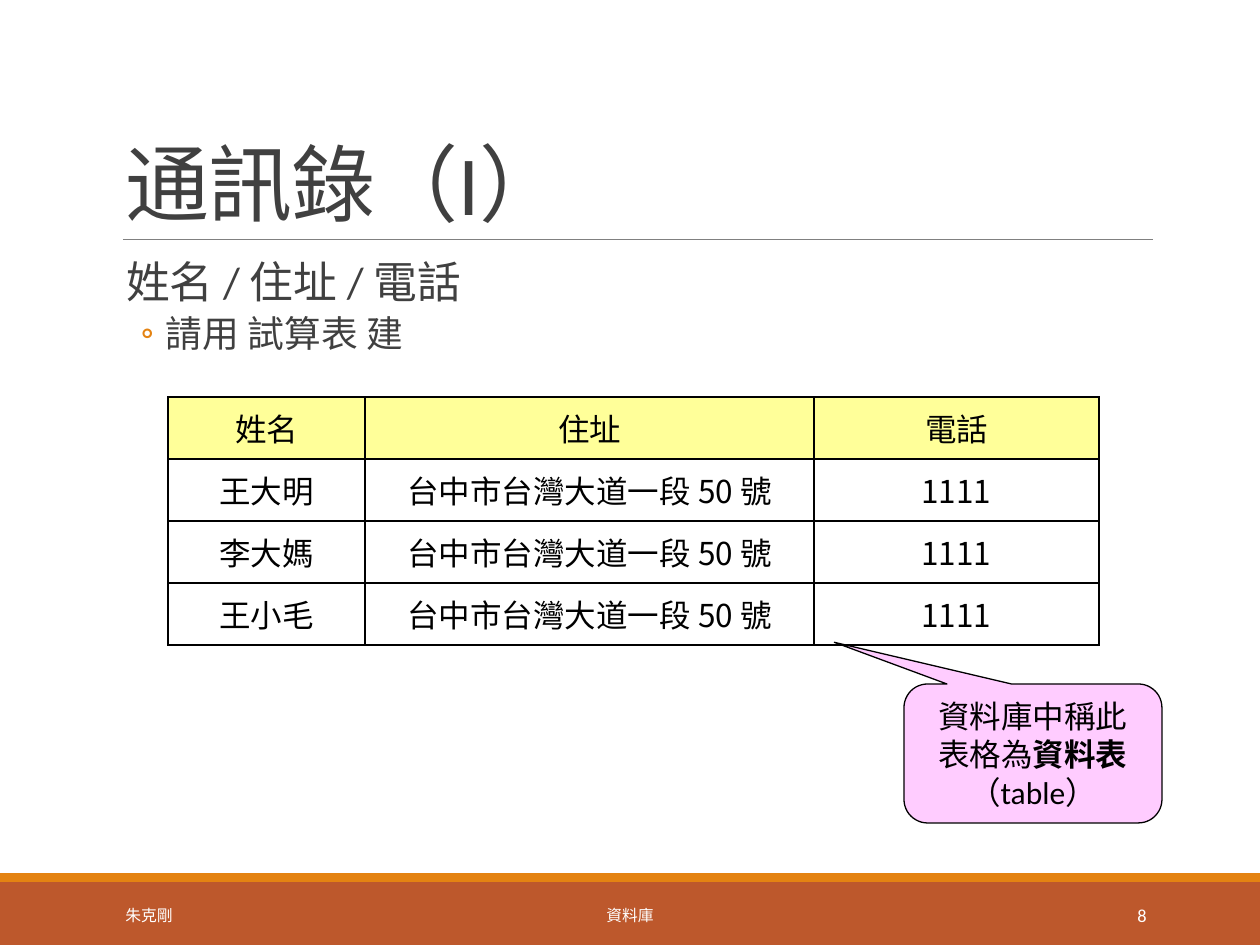
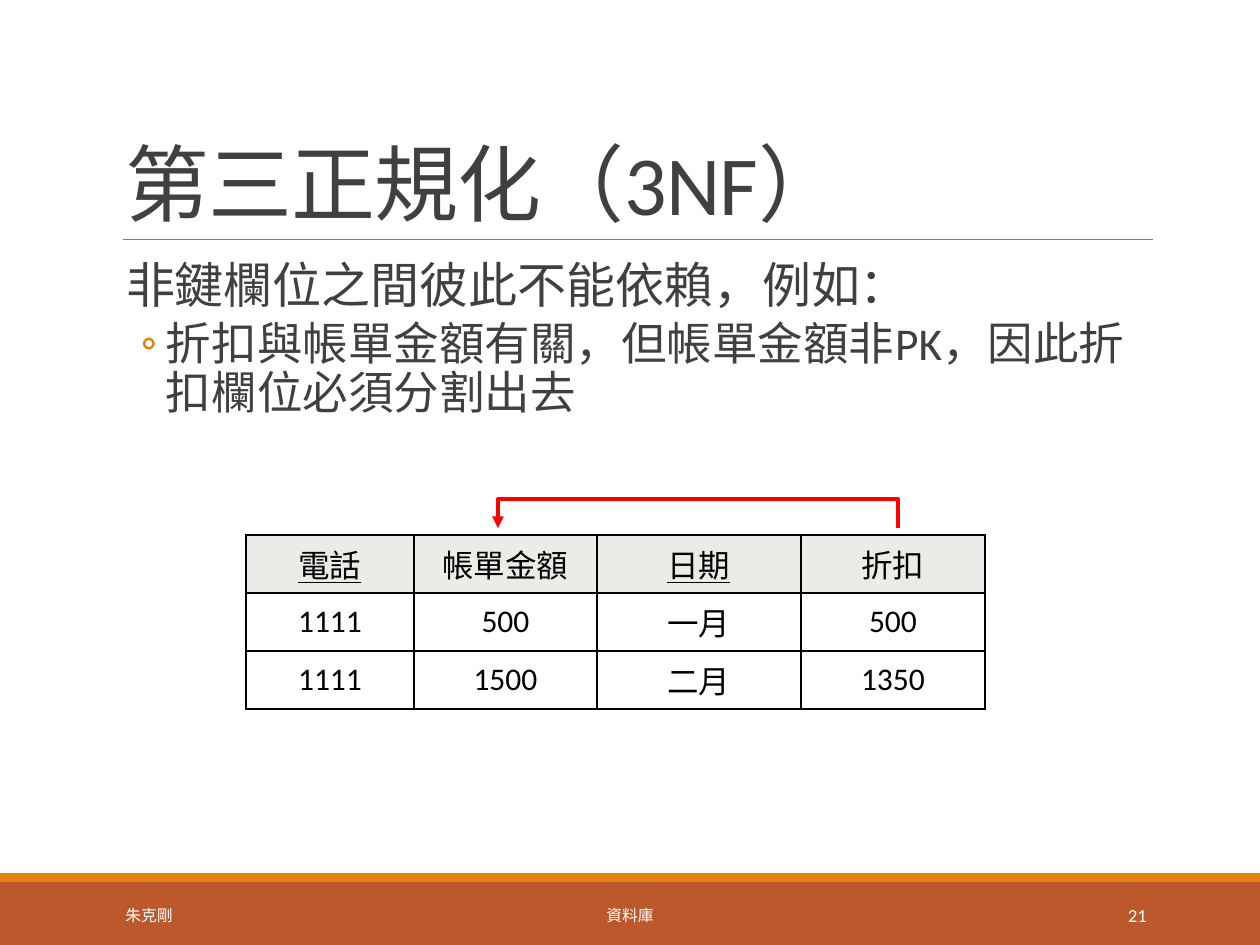
from lxml.etree import SubElement
from pptx import Presentation
from pptx.dml.color import RGBColor
from pptx.enum.shapes import MSO_CONNECTOR, MSO_SHAPE
from pptx.enum.text import MSO_ANCHOR as ANCHOR, PP_ALIGN as ALIGN
from pptx.oxml.ns import qn
from pptx.util import Pt

SCALE = 914400 / 126
LATIN, ASIAN = "Calibri", "Noto Sans CJK TC"
INK, BLACK, WHITE = "404040", "000000", "FFFFFF"
ORANGE, RUST, GREY, RED, PINK = "E48312", "BD582C", "808080", "FF0000", "FFCCFF"

AUTHOR, COURSE = "朱克剛", "資料庫"
ADDRESS = "台中市台灣大道一段 50 號"
SLIDES = [
    {
        "title": "通訊錄（I）", "number": "8",
        "lead": ("姓名 / 住址 / 電話", 25), "detail": ("請用 試算表 建", 21),
        "table": {
            "corner": (168, 397), "columns": (197, 449, 285), "row": 62,
            "header": "FFFF99", "font": ASIAN, "keys": (),
            "rows": [
                ("姓名", "住址", "電話"),
                ("王大明", ADDRESS, "1111"),
                ("李大媽", ADDRESS, "1111"),
                ("王小毛", ADDRESS, "1111"),
            ],
        },
        "callout": [("資料庫中稱此表格為", False), ("資料表", True), ("（table）", False)],
    },
    {
        "title": "第三正規化（3NF）", "number": "21",
        "lead": ("非鍵欄位之間彼此不能依賴，例如：", 28),
        "detail": ("折扣與帳單金額有關，但帳單金額非PK，因此折扣欄位必須分割出去", 26),
        "table": {
            "corner": (246, 535), "columns": (168, 183, 204, 184), "row": 58,
            "header": "EAECE7", "font": LATIN, "keys": ("電話", "日期"),
            "rows": [
                ("電話", "帳單金額", "日期", "折扣"),
                ("1111", "500", "一月", "500"),
                ("1111", "1500", "二月", "1350"),
            ],
        },
        "dependency": [(898, 528), (898, 499), (498, 499), (498, 528)],
    },
]


def px(value):
    return round(value * SCALE)


def color(value):
    return RGBColor.from_string(value)


def add_run(paragraph, text, size, ink, font=LATIN, bold=False, underline=False):
    run = paragraph.add_run()
    run.text = text
    run.font.size, run.font.name = Pt(size), font
    run.font.bold, run.font.underline = bold, underline
    run.font.color.rgb = color(ink)
    SubElement(run.font._element, qn("a:ea"), typeface=ASIAN)
    return run


def add_text_box(slide, box, anchor=ANCHOR.TOP):
    frame = slide.shapes.add_textbox(*map(px, box)).text_frame
    frame.word_wrap = True
    frame.vertical_anchor = anchor
    return frame


def add_panel(slide, kind, box, fill):
    shape = slide.shapes.add_shape(kind, *map(px, box))
    shape.shadow.inherit = False
    shape.fill.solid()
    shape.fill.fore_color.rgb = color(fill)
    shape.line.fill.background()
    return shape


def set_line(line, ink, width):
    line.color.rgb = color(ink)
    line.width = Pt(width)


def add_frame(slide, number):
    add_panel(slide, MSO_SHAPE.RECTANGLE, (0, 882, 1260, 63), RUST)
    add_panel(slide, MSO_SHAPE.RECTANGLE, (0, 873, 1260, 9), ORANGE)
    rule = slide.shapes.add_connector(
        MSO_CONNECTOR.STRAIGHT, px(123), px(239), px(1153), px(239))
    set_line(rule.line, GREY, 0.5)
    SubElement(rule._element.spPr, qn("a:effectLst"))
    footers = [
        (AUTHOR, 113, 256, ALIGN.LEFT, 9),
        (COURSE, 380, 500, ALIGN.CENTER, 9),
        (number, 1023, 136, ALIGN.RIGHT, 10.5),
    ]
    for text, left, width, align, size in footers:
        paragraph = add_text_box(slide, (left, 890, width, 50), ANCHOR.MIDDLE).paragraphs[0]
        paragraph.alignment = align
        add_run(paragraph, text, size, WHITE)


def add_title(slide, text):
    paragraph = add_text_box(slide, (113, 39, 1040, 200), ANCHOR.BOTTOM).paragraphs[0]
    paragraph.line_spacing = 0.85
    run = add_run(paragraph, text, 48, INK)
    run.font._element.set("spc", "-50")


def add_body(slide, lead, detail):
    frame = add_text_box(slide, (113, 255, 1040, 554))
    frame.margin_left = frame.margin_right = 0
    levels = [(lead, 13, 12, 2, None), (detail, 53, 2, 4, "◦")]
    for index, ((text, size), margin, before, after, bullet) in enumerate(levels):
        paragraph = frame.add_paragraph() if index else frame.paragraphs[0]
        paragraph.line_spacing = 0.9
        paragraph.space_before, paragraph.space_after = Pt(before), Pt(after)
        properties = paragraph._p.get_or_add_pPr()
        properties.set("marL", str(px(margin)))
        if bullet:
            properties.set("indent", str(px(-25)))
            ink = SubElement(properties, qn("a:buClr"))
            SubElement(ink, qn("a:srgbClr"), val=ORANGE)
            SubElement(properties, qn("a:buFont"), typeface=LATIN)
            SubElement(properties, qn("a:buChar"), char=bullet)
        add_run(paragraph, text, size, INK)


def add_borders(cell):
    properties = cell._tc.get_or_add_tcPr()
    for side in ("lnL", "lnR", "lnT", "lnB"):
        border = SubElement(properties, qn("a:" + side), w=str(Pt(1)))
        SubElement(SubElement(border, qn("a:solidFill")), qn("a:srgbClr"), val=BLACK)


def add_grid(slide, corner, columns, row, header, font, keys, rows):
    size = (sum(columns), row * len(rows))
    table = slide.shapes.add_table(
        len(rows), len(columns), *map(px, corner + size)).table
    for column, width in zip(table.columns, columns):
        column.width = px(width)
    for row_index, values in enumerate(rows):
        table.rows[row_index].height = px(row)
        for column_index, text in enumerate(values):
            cell = table.cell(row_index, column_index)
            add_borders(cell)
            if row_index == 0:
                cell.fill.solid()
                cell.fill.fore_color.rgb = color(header)
            else:
                cell.fill.background()
            cell.vertical_anchor = ANCHOR.MIDDLE
            paragraph = cell.text_frame.paragraphs[0]
            paragraph.alignment = ALIGN.CENTER
            add_run(paragraph, text, 18, BLACK, font, underline=text in keys)


def add_callout(slide, runs):
    shape = add_panel(slide, MSO_SHAPE.ROUNDED_RECTANGULAR_CALLOUT, (904, 684, 258, 139), PINK)
    for index, value in enumerate((-0.77, -0.8, 0.17)):
        shape.adjustments[index] = value
    set_line(shape.line, BLACK, 0.75)
    frame = shape.text_frame
    frame.word_wrap = True
    frame.vertical_anchor = ANCHOR.TOP
    paragraph = frame.paragraphs[0]
    paragraph.alignment = ALIGN.CENTER
    for text, bold in runs:
        add_run(paragraph, text, 18, BLACK, bold=bold)


def add_dependency(slide, points):
    builder = slide.shapes.build_freeform(*points[0], scale=SCALE)
    builder.add_line_segments(points[1:], close=False)
    arrow = builder.convert_to_shape()
    arrow.shadow.inherit = False
    arrow.fill.background()
    set_line(arrow.line, RED, 2.25)
    SubElement(arrow.line._get_or_add_ln(), qn("a:tailEnd"), type="triangle")


presentation = Presentation()
presentation.slide_width, presentation.slide_height = px(1260), px(945)
for content in SLIDES:
    slide = presentation.slides.add_slide(presentation.slide_layouts[6])
    add_frame(slide, content["number"])
    add_title(slide, content["title"])
    add_body(slide, content["lead"], content["detail"])
    add_grid(slide, **content["table"])
    if "callout" in content:
        add_callout(slide, content["callout"])
    if "dependency" in content:
        add_dependency(slide, content["dependency"])
presentation.save("out.pptx")
